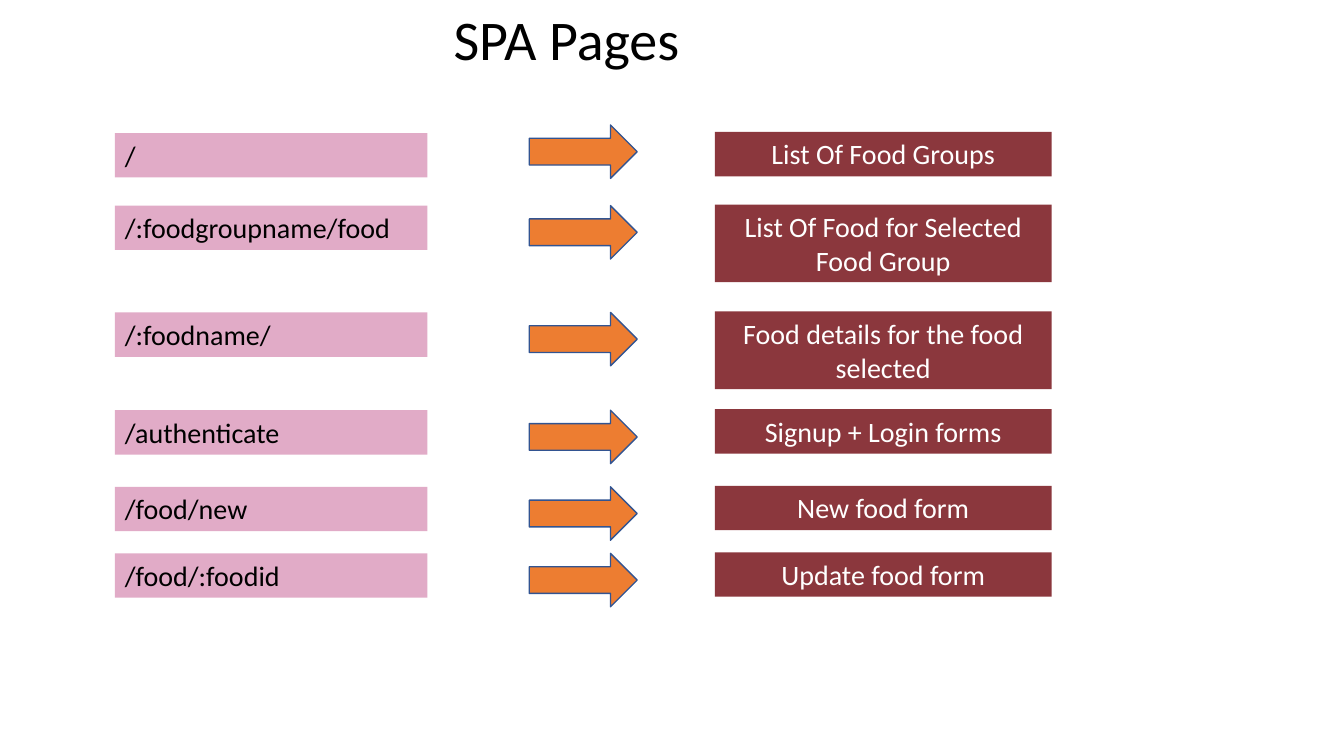
import pptx
import pptx.util
import pptx.dml.color
import pptx.enum.shapes
import pptx.enum.text

SCALE = 9144
COLORS = {
    "black": "000000",
    "white": "FFFFFF",
    "pink": "E1ABC7",
    "wine": "8B373D",
    "orange": "ED7D31",
    "blue": "325491",
}
KINDS = pptx.enum.shapes.MSO_SHAPE
ALIGN = pptx.enum.text.PP_ALIGN
ROWS = [
    (131, 44, 124, "/", "List Of Food Groups"),
    (203, 77, 204, "/:foodgroupname/food", "List Of Food for Selected Food Group"),
    (309, 77, 310, "/:foodname/", "Food details for the food selected"),
    (406, 44, 407, "/authenticate", "Signup + Login forms"),
    (482, 44, 483, "/food/new", "New food form"),
    (548, 44, 549, "/food/:foodid", "Update food form"),
]


def px(*sizes):
    """Turn px lengths into EMU."""
    return [pptx.util.Emu(size * SCALE) for size in sizes]


def color(name):
    """Look up a named colour."""
    return pptx.dml.color.RGBColor.from_string(COLORS[name])


def apply(target, values):
    """Set each format value on the target."""
    for name, value in values.items():
        setattr(target, name, value)


def write(shape, text, size, ink, align=ALIGN.LEFT, wrap=True):
    """Put formatted text into a shape."""
    frame = shape.text_frame
    apply(frame, {
        "text": text,
        "word_wrap": wrap,
        "auto_size": pptx.enum.text.MSO_AUTO_SIZE.SHAPE_TO_FIT_TEXT,
        "vertical_anchor": pptx.enum.text.MSO_ANCHOR.TOP,
    })
    para = frame.paragraphs[0]
    para.alignment = align
    font = para.runs[0].font
    apply(font, {"name": "Calibri", "size": pptx.util.Pt(size)})
    font.color.rgb = color(ink)


def draw(slide, kind, box, fill):
    """Add a filled shape without shadow or line."""
    shape = slide.shapes.add_shape(kind, *px(*box))
    shape.shadow.inherit = False
    shape.fill.solid()
    shape.fill.fore_color.rgb = color(fill)
    shape.line.fill.background()
    return shape


def label(slide, box, fill, text, ink, align):
    """Add a coloured text bar."""
    write(draw(slide, KINDS.RECTANGLE, box, fill), text, 20, ink, align)


def arrow(slide, top):
    """Add an outlined arrow from route to page."""
    shape = draw(slide, KINDS.RIGHT_ARROW, (525, top, 107, 53), "orange")
    shape.line.color.rgb = color("blue")
    shape.line.width = pptx.util.Pt(1)


def title(slide, text):
    """Add the slide heading."""
    box = slide.shapes.add_textbox(*px(440, 0, 246, 77))
    write(box, text, 40, "black", wrap=False)


def main():
    """Build and save the slide."""
    deck = pptx.Presentation()
    width, height = px(1333, 750)
    apply(deck, {"slide_width": width, "slide_height": height})
    slide = deck.slides.add_slide(deck.slide_layouts[6])
    title(slide, "SPA Pages")
    for top, tall, tip, route, page in ROWS:
        label(slide, (709, top, 334, tall), "wine", page, "white", ALIGN.CENTER)
        label(slide, (114, top + 1, 310, 44), "pink", route, "black", ALIGN.LEFT)
        arrow(slide, tip)
    deck.save("out.pptx")


if __name__ == "__main__":
    main()
